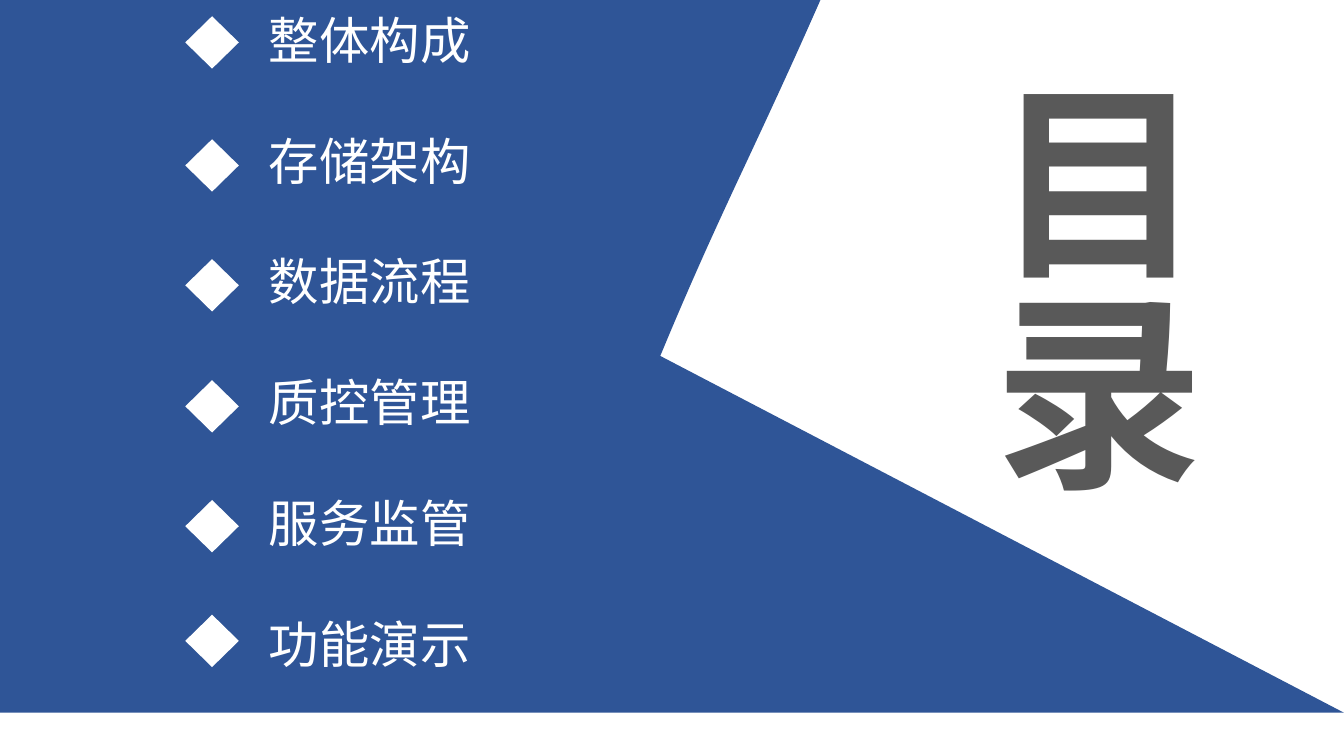
"""Build the contents slide: a blue panel with six diamond-marked topics and a vertical title."""
from dataclasses import dataclass

from lxml.etree import SubElement
from pptx import Presentation
from pptx.dml.color import RGBColor
from pptx.enum.shapes import MSO_SHAPE
from pptx.enum.text import MSO_ANCHOR
from pptx.oxml.ns import qn
from pptx.util import Cm, Pt


@dataclass(frozen=True)
class Theme:
    panel: RGBColor = RGBColor(0x2F, 0x55, 0x97)
    light: RGBColor = RGBColor(0xFF, 0xFF, 0xFF)
    title: RGBColor = RGBColor(0x59, 0x59, 0x59)
    font: str = "Noto Sans CJK SC"
    title_size: Pt = Pt(150)
    topic_size: Pt = Pt(36)
    topic_line: Pt = Pt(43.15)


def paint(shape, color):
    shape.shadow.inherit = False
    shape.fill.solid()
    shape.fill.fore_color.rgb = color
    shape.line.fill.background()


def style(paragraph, size, color, bold=False):
    font = paragraph.font
    font.name = theme.font
    font.size = size
    font.bold = bold
    font.color.rgb = color
    SubElement(font._rPr, qn("a:ea"), typeface=theme.font)


theme = Theme()
topics = ["整体构成", "存储架构", "数据流程", "质控管理", "服务监管", "功能演示"]
diamond_tops = [0.41, 3.51, 6.53, 9.58, 12.6, 15.49]

presentation = Presentation()
presentation.slide_width = Cm(33.87)
presentation.slide_height = Cm(19.05)
slide = presentation.slides.add_slide(presentation.slide_layouts[6])

title_box = slide.shapes.add_textbox(Cm(23.88), Cm(1.68), Cm(6.93), Cm(10.95))
title_frame = title_box.text_frame
title_frame.word_wrap = False
title_frame._txBody.bodyPr.set("vert", "eaVert")
title_frame.text = "目录"
style(title_frame.paragraphs[0], theme.title_size, theme.title, bold=True)

curve = [(21.13, -1.04), (19.1, 3.66), (18.31, 4.95), (16.64, 8.97)]
steps = 24
edge = []
for step in range(steps + 1):
    t = step / steps
    weights = [(1 - t) ** 3, 3 * t * (1 - t) ** 2, 3 * t**2 * (1 - t), t**3]
    edge.append(tuple(
        Cm(sum(weight * point[axis] for weight, point in zip(weights, curve)))
        for axis in (0, 1)
    ))
builder = slide.shapes.build_freeform(Cm(0), Cm(17.96))
builder.add_line_segments([(Cm(0), Cm(-1.09)), *edge, (Cm(33.87), Cm(17.96))])
paint(builder.convert_to_shape(), theme.panel)

topic_box = slide.shapes.add_textbox(Cm(6.53), Cm(0.1), Cm(5.64), Cm(17.5))
topic_frame = topic_box.text_frame
topic_frame.word_wrap = False
topic_frame.vertical_anchor = MSO_ANCHOR.TOP
topic_frame.text = "\n".join(topics)
for paragraph in topic_frame.paragraphs:
    style(paragraph, theme.topic_size, theme.light)
    paragraph.line_spacing = theme.topic_line
    paragraph.space_after = theme.topic_line

for top in diamond_tops:
    diamond = slide.shapes.add_shape(
        MSO_SHAPE.FLOWCHART_DECISION, Cm(4.67), Cm(top), Cm(1.35), Cm(1.32)
    )
    paint(diamond, theme.light)

presentation.save("out.pptx")
